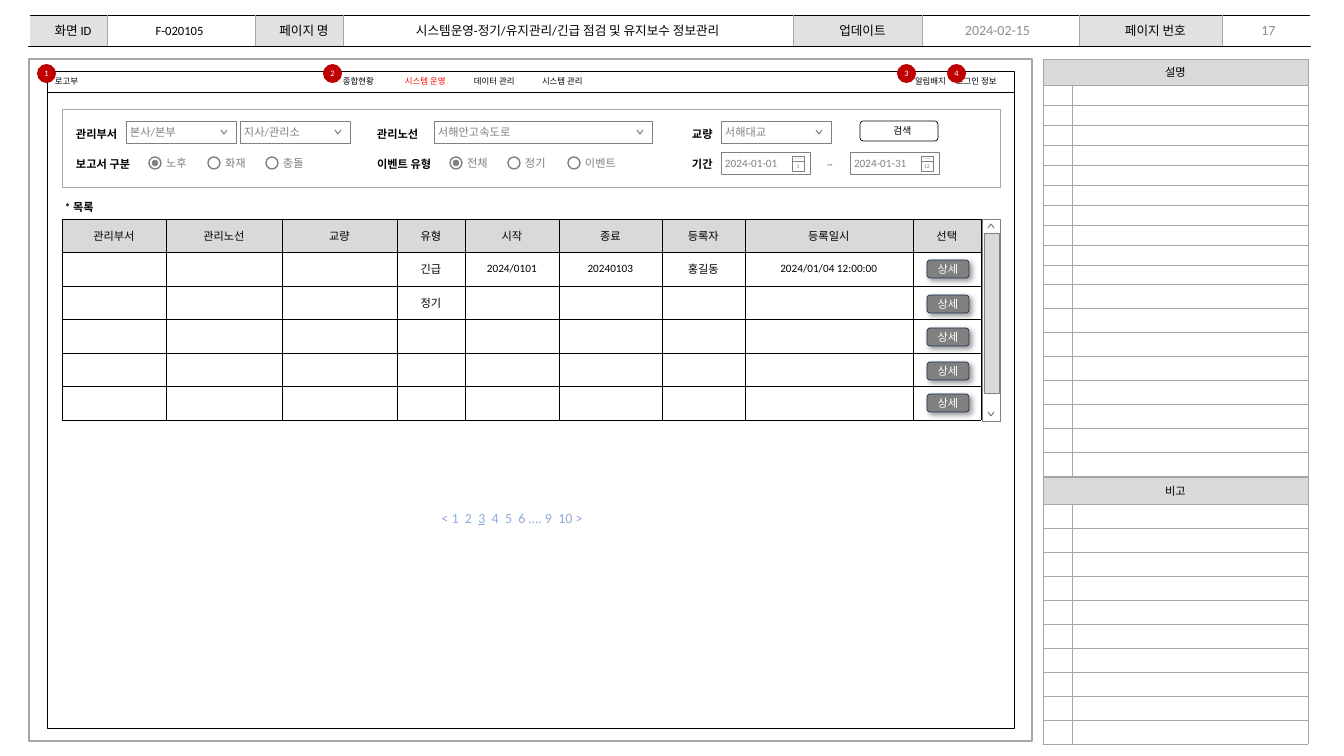
from lxml import etree
from pptx import Presentation
from pptx.dml.color import RGBColor
from pptx.enum.shapes import MSO_CONNECTOR, MSO_SHAPE
from pptx.enum.text import MSO_ANCHOR, PP_ALIGN
from pptx.oxml.ns import qn
from pptx.util import Pt

PX = 914400 / 100.8
RECT, ROUND, OVAL = MSO_SHAPE.RECTANGLE, MSO_SHAPE.ROUNDED_RECTANGLE, MSO_SHAPE.OVAL
STRAIGHT = MSO_CONNECTOR.STRAIGHT
LEFT, CENTER = PP_ALIGN.LEFT, PP_ALIGN.CENTER
TOP, MIDDLE, BOTTOM = MSO_ANCHOR.TOP, MSO_ANCHOR.MIDDLE, MSO_ANCHOR.BOTTOM
BLACK, WHITE, RED = "000000", "FFFFFF", "C00000"
GRAY, SILVER, HEADER = "808080", "A6A6A6", "D9D9D9"
FONT = "Calibri"
hex_color = RGBColor.from_string

deck = Presentation()
deck.slide_width, deck.slide_height = int(1344 * PX), int(756 * PX)
page = deck.slides.add_slide(deck.slide_layouts[6])


def add_box(kind, place, text="", size=8, color=BLACK, bold=False, align=LEFT, anchor=MIDDLE,
            insets=(4, 5, 4, 5), wrap=True, fill=None, line=None, weight=0.5):
    place = [int(value * PX) for value in place]
    if kind is None:
        box = page.shapes.add_textbox(*place)
    else:
        box = page.shapes.add_shape(kind, *place)
        box.shadow.inherit = False
        if fill:
            box.fill.solid()
            box.fill.fore_color.rgb = hex_color(fill)
        else:
            box.fill.background()
        if line:
            box.line.color.rgb = hex_color(line)
            box.line.width = Pt(weight)
        else:
            box.line.fill.background()
    frame = box.text_frame
    frame.word_wrap = wrap
    frame.vertical_anchor = anchor
    frame.margin_left, frame.margin_top, frame.margin_right, frame.margin_bottom = [
        int(value * PX) for value in insets]
    para = frame.paragraphs[0]
    para.alignment = align
    para.text = text
    para.font.name, para.font.size, para.font.bold = FONT, Pt(size), bold
    para.font.color.rgb = hex_color(color)
    return box


def add_grid(left, top, widths, heights, texts, fills, borders, size=8, left_inset=0):
    frame = page.shapes.add_table(len(heights), len(widths), int(left * PX), int(top * PX),
                                  int(sum(widths) * PX), int(sum(heights) * PX))
    grid = frame.table
    grid.first_row = grid.horz_banding = False
    for column, width in zip(grid.columns, widths):
        column.width = int(width * PX)
    for row, height in zip(grid.rows, heights):
        row.height = int(height * PX)
    for r in range(len(heights)):
        for c in range(len(widths)):
            cell = grid.cell(r, c)
            cell.vertical_anchor = MIDDLE
            cell.margin_left = int(left_inset * PX)
            cell.margin_top = cell.margin_right = cell.margin_bottom = 0
            para = cell.text_frame.paragraphs[0]
            para.alignment = CENTER
            para.text = texts.get((r, c), "")
            para.font.name, para.font.size = FONT, Pt(size)
            para.font.color.rgb = hex_color(BLACK)
            properties = cell._tc.get_or_add_tcPr()
            for side, (color, weight) in borders(c).items():
                edge = etree.SubElement(properties, qn("a:ln" + side), w=str(Pt(weight)))
                solid = etree.SubElement(edge, qn("a:solidFill"))
                etree.SubElement(solid, qn("a:srgbClr"), val=color)
            if (r, c) in fills:
                cell.fill.solid()
                cell.fill.fore_color.rgb = hex_color(fills[r, c])
            else:
                cell.fill.background()
    return grid


title_labels = {(0, 0): "화면 ID", (0, 2): "페이지 명", (0, 4): "업데이트", (0, 6): "페이지 번호"}
add_grid(29, 15, [78, 148, 88, 450, 129, 157, 143, 89], [31], title_labels,
         dict.fromkeys(title_labels, "E1E1E1"),
         lambda c: {"L": (SILVER, 0.25) if c else (WHITE, 1),
                    "R": (SILVER, 0.25) if c < 7 else (WHITE, 1),
                    "T": (BLACK, 0.5), "B": (BLACK, 0.5)}, size=9, left_inset=10)
add_box(RECT, (29, 59, 1003, 682), line=SILVER, weight=1)
for left, width, text, size, color in [
        (109, 141, "F-020105", 9, BLACK),
        (346, 443, "시스템운영-정기/유지관리/긴급 점검 및 유지보수 정보관리", 9, BLACK),
        (925, 145, "2024-02-15", 10, "8C8C8C"), (1227, 83, "17", 10, "8C8C8C")]:
    add_box(None, (left, 18, width, 24), text, size, color, align=CENTER)

for top, text, heights in [(59, "설명", [26] + [20] * 10 + [24] * 8),
                           (477, "비고", [27] + [24] * 10)]:
    notes = add_grid(1043, top, [29, 236], heights, {(0, 0): text},
                     {(0, 0): HEADER, (0, 1): HEADER},
                     lambda c: dict.fromkeys("LRTB", (SILVER, 0.25)))
    notes.cell(0, 0).merge(notes.cell(0, 1))

add_box(RECT, (47, 92, 967, 636), line=BLACK, weight=0.25)
menu_bar = add_box(RECT, (47, 71, 967, 21), fill=WHITE, line=BLACK, weight=0.25)
white = menu_bar._element.spPr.find(qn("a:solidFill"))[0]
etree.SubElement(white, qn("a:alpha"), val="30000")
for left, width, text, color in [
        (55, 25, "로고부", BLACK), (915, 34, "알림배지", BLACK), (956, 44, "로그인 정보", BLACK),
        (343, 34, "종합현황", BLACK), (405, 44, "시스템 운영", "FF0000"),
        (474, 44, "데이터 관리", BLACK), (542, 44, "시스템 관리", BLACK)]:
    add_box(None, (left, 76, width, 10), text, 6, color, insets=(0, 0, 0, 0), wrap=False)
for number, left in enumerate([37, 323, 897, 947], 1):
    add_box(OVAL, (left, 64, 19, 19), str(number), 6, WHITE, align=CENTER,
            insets=(0, 0, 0, 0), wrap=False, fill=RED)

add_box(RECT, (62, 109, 938, 78), line=SILVER)
for left, top, width, text in [
        (72, 122, 53, "관리부서"), (373, 122, 53, "관리노선"), (688, 122, 30, "교량"),
        (72, 152, 68, "보고서 구분"), (373, 152, 68, "이벤트 유형"), (688, 152, 30, "기간")]:
    add_box(None, (left, top, width, 24), text, bold=True, anchor=TOP, wrap=False)

chevrons = [(991, 416, -4), (991, 224, 4)]
for left, width, text in [(126, 110, "본사/본부"), (240, 110, "지사/관리소"),
                          (434, 218, "서해안고속도로"), (721, 110, "서해대교")]:
    add_box(RECT, (left, 121, width, 22), text, color=GRAY, fill=WHITE, line=GRAY)
    chevrons.append((left + width - 12, 134, -4))
for tip, level, rise in chevrons:
    for start in (tip - 3, tip + 3):
        stroke = page.shapes.add_connector(STRAIGHT, *[
            int(value * PX) for value in (start, level + rise, tip, level)])
        stroke.line.color.rgb = hex_color(GRAY)
        stroke.line.width = Pt(0.75)
        etree.SubElement(stroke._element.spPr, qn("a:effectLst"))

add_box(RECT, (982, 219, 18, 202), line=GRAY)
add_box(RECT, (984, 233, 15, 160), fill=HEADER, line=GRAY)

for left, text, chosen in [(149, "노후", True), (208, "화재", False), (266, "충돌", False),
                           (450, "전체", True), (508, "정기", False), (568, "이벤트", False)]:
    add_box(OVAL, (left, 157, 12, 12), fill=WHITE, line=GRAY, weight=1)
    if chosen:
        add_box(OVAL, (left + 3.5, 160.5, 5, 5), fill=GRAY, line=GRAY, weight=1)
    add_box(None, (left + 13, 152, 49, 23), text, color=GRAY)

for left, text, day in [(721, "2024-01-01", "1"), (850, "2024-01-31", "12")]:
    add_box(RECT, (left, 152, 89, 22), text, color=GRAY, fill=WHITE, line=GRAY)
    for top, height, mark, anchor in [(161, 10, day, MIDDLE), (156, 5, "…..", BOTTOM)]:
        add_box(RECT, (left + 71, top, 12, height), mark, 4, GRAY, align=CENTER,
                anchor=anchor, insets=(0, 0, 0, 0), wrap=False, line=GRAY)
add_box(None, (811, 152, 38, 24), "~", color=GRAY, align=CENTER)
add_box(ROUND, (860, 121, 78, 20), "검색", 7, align=CENTER, insets=(7, 0, 0, 0),
        fill=WHITE, line=BLACK)

headings = ["관리부서", "관리노선", "교량", "유형", "시작", "종료", "등록자", "등록일시", "선택"]
records = {(0, c): text for c, text in enumerate(headings)}
fills = dict.fromkeys(records, HEADER)
first_record = ["긴급", "2024/0101", "20240103", "홍길동", "2024/01/04 12:00:00"]
records.update({(1, c): text for c, text in enumerate(first_record, 3)})
records[2, 3] = "정기"
add_grid(62, 219, [104, 116, 115, 68, 94, 103, 83, 168, 68], [33 + r % 2 for r in range(6)],
         records, fills, lambda c: dict.fromkeys("LRTB", (BLACK, 0.25)))
add_box(None, (61, 195, 38, 24), "* 목록", bold=True, anchor=TOP)

for top in [260, 295, 328, 362, 394]:
    button = add_box(ROUND, (927, top, 42, 18), "상세", color=WHITE, align=CENTER,
                     fill=GRAY, line="1E3256")
    effects = button._element.spPr.find(qn("a:effectLst"))
    shadow = etree.SubElement(effects, qn("a:outerShdw"), blurRad=str(Pt(4)),
                              dist=str(Pt(3)), dir="2700000", algn="tl", rotWithShape="0")
    shade = etree.SubElement(shadow, qn("a:srgbClr"), val=BLACK)
    etree.SubElement(shade, qn("a:alpha"), val="40000")

pager = add_box(None, (434, 504, 156, 27), size=10, color="8FAADC", align=CENTER)
para = pager.text_frame.paragraphs[0]
for position, text in enumerate(["< 1", "2", "3", "4", "5", "6 …. 9", "10 >"]):
    if position:
        gap = para.add_run()
        gap.text = " "
        gap.font._element.set("spc", "226")
    span = para.add_run()
    span.text = text
    span.font.underline = text == "3"

deck.save("out.pptx")
